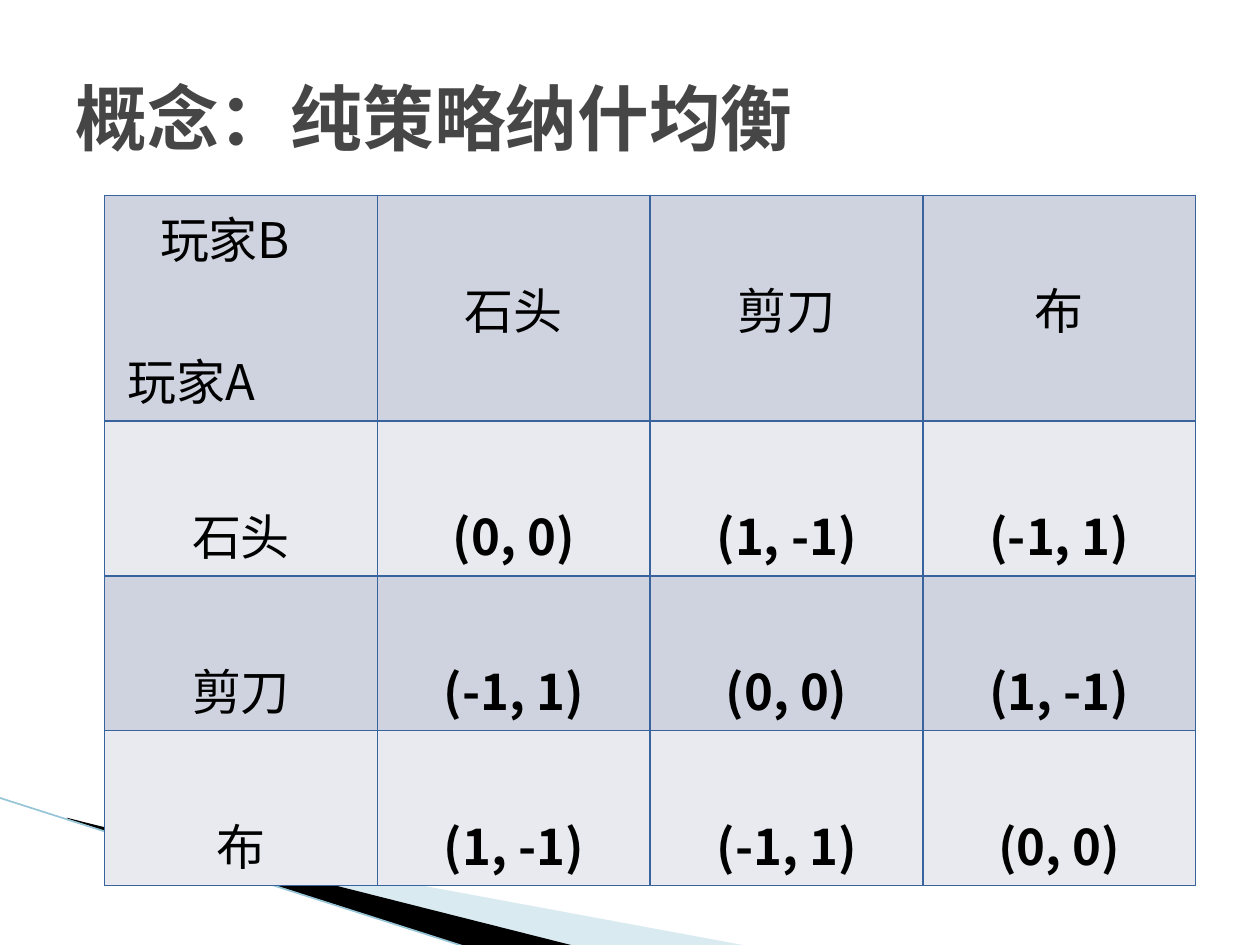
from dataclasses import dataclass
from typing import Optional

from lxml import etree
from pptx import Presentation
from pptx.dml.color import RGBColor
from pptx.enum import shapes, text
from pptx.oxml import ns
from pptx.util import Inches, Pt

HUES = {
    "title": "464646", "ink": "000000", "edge": "39639D",
    "dark": "CED3DF", "light": "E8EAEF", "pale": "A0CBDC", "line": "97C5D8",
}
FONT = "Noto Sans CJK SC"
MOVES = ["石头", "剪刀", "布"]
GAINS = ["(0, 0)", "(1, -1)", "(-1, 1)"]


@dataclass
class Wedge:
    points: list[tuple[float, float]]
    hue: str
    alpha: Optional[int] = None


WEDGES = [
    Wedge([(0.55, 6.51), (5.95, 7.51), (4.56, 7.51), (0.55, 6.5)], "pale", 40),
    Wedge([(0.53, 6.49), (4.57, 7.51), (3.72, 7.52), (0.54, 6.5)], "ink"),
]


def tint(hue: str) -> RGBColor:
    return RGBColor.from_string(HUES[hue])


def add(parent, tag: str, **attrs: str):
    return etree.SubElement(parent, ns.qn(tag), attrs)


def write(para, words: str, *, size: float = 28, font: str = FONT,
          hue: str = "ink", bold: bool = False, align=text.PP_ALIGN.CENTER,
          indent: float = 0, before: float = 0) -> None:
    para.alignment = align
    if indent:
        para._p.get_or_add_pPr().set("marL", str(Inches(indent)))
    if before:
        para.space_before = Pt(before)
    run = para.add_run()
    run.text = words
    run.font.size = Pt(size)
    run.font.name = font
    run.font.bold = bold
    run.font.color.rgb = tint(hue)
    add(run._r.get_or_add_rPr(), "a:ea", typeface=FONT)


def draw_wedge(slide, wedge: Wedge) -> None:
    start, *rest = [(Inches(x), Inches(y)) for x, y in wedge.points]
    pen = slide.shapes.build_freeform(*start)
    pen.add_line_segments(rest, close=True)
    shape = pen.convert_to_shape()
    shape.shadow.inherit = False
    shape.line.fill.background()
    shape.fill.solid()
    shape.fill.fore_color.rgb = tint(wedge.hue)
    if wedge.alpha:
        color = shape._element.spPr.find(".//" + ns.qn("a:srgbClr"))
        add(color, "a:alpha", val=str(wedge.alpha * 1000))


def draw_line(slide) -> None:
    line = slide.shapes.add_connector(
        shapes.MSO_CONNECTOR.STRAIGHT,
        Inches(-0.01), Inches(6.33), Inches(3.71), Inches(7.52))
    line.line.color.rgb = tint("line")
    line.line.width = Pt(0.95)
    add(line._element.spPr, "a:effectLst")


def style_cell(cell, hue: str, anchor) -> None:
    props = cell._tc.get_or_add_tcPr()
    for side in ("a:lnL", "a:lnR", "a:lnT", "a:lnB"):
        edge = add(props, side, w=str(Pt(1)))
        add(add(edge, "a:solidFill"), "a:srgbClr", val=HUES["edge"])
    cell.fill.solid()
    cell.fill.fore_color.rgb = tint(hue)
    cell.vertical_anchor = anchor


def draw_table(slide) -> None:
    count = len(MOVES) + 1
    grid = slide.shapes.add_table(
        count, count, Inches(0.83), Inches(1.55),
        Inches(8.66), Inches(5.46)).table
    for row in range(count):
        grid.rows[row].height = Inches(1.23 if row else 1.79)
        for col in range(count):
            cell = grid.cell(row, col)
            anchor = text.MSO_ANCHOR.BOTTOM if row else text.MSO_ANCHOR.MIDDLE
            style_cell(cell, "light" if row % 2 else "dark", anchor)
            para = cell.text_frame.paragraphs[0]
            if row and col:
                write(para, GAINS[(col - row) % len(GAINS)], bold=True)
            elif row or col:
                write(para, MOVES[max(row, col) - 1])
            else:
                left = text.PP_ALIGN.LEFT
                write(para, "玩家B", align=left, indent=0.34)
                write(cell.text_frame.add_paragraph(), "玩家A",
                      align=left, indent=0.08, before=40.5)


def draw_title(slide) -> None:
    box = slide.shapes.add_textbox(
        Inches(0.5), Inches(0.3), Inches(9), Inches(1.25))
    frame = box.text_frame
    frame.word_wrap = True
    frame.vertical_anchor = text.MSO_ANCHOR.MIDDLE
    write(frame.paragraphs[0], "概念：纯策略纳什均衡", size=41,
          font="Noto Sans Mono", hue="title", bold=True,
          align=text.PP_ALIGN.LEFT)


def main() -> None:
    deck = Presentation()
    deck.slide_width, deck.slide_height = Inches(10), Inches(7.5)
    slide = deck.slides.add_slide(deck.slide_layouts[6])
    for wedge in WEDGES:
        draw_wedge(slide, wedge)
    draw_line(slide)
    draw_table(slide)
    draw_title(slide)
    deck.save("out.pptx")


if __name__ == "__main__":
    main()
